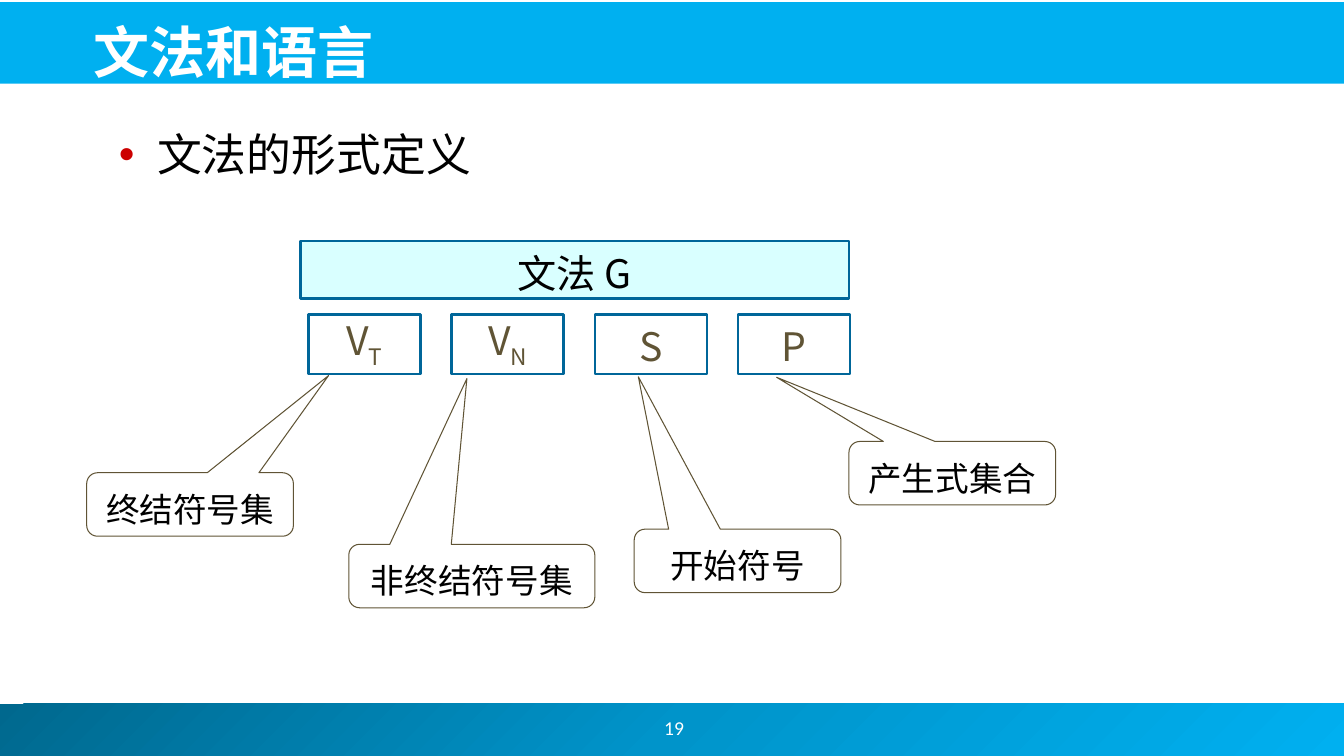
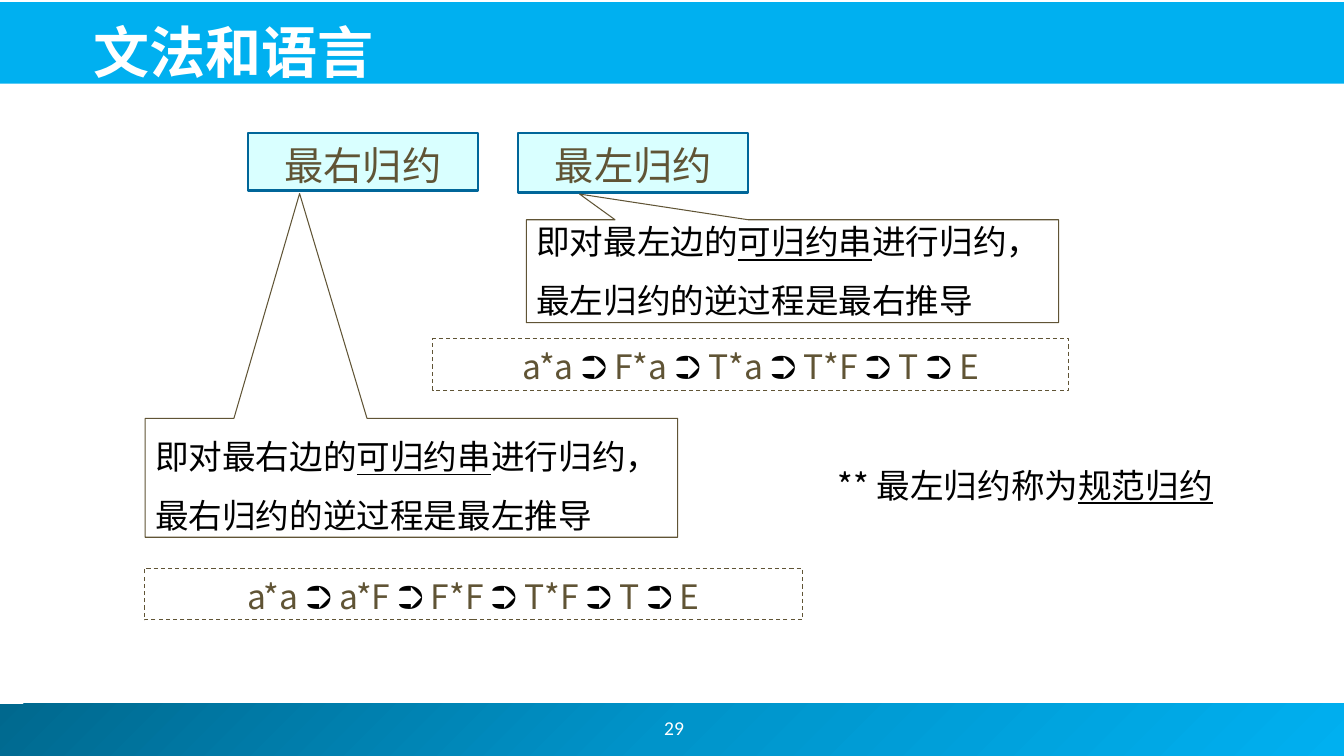
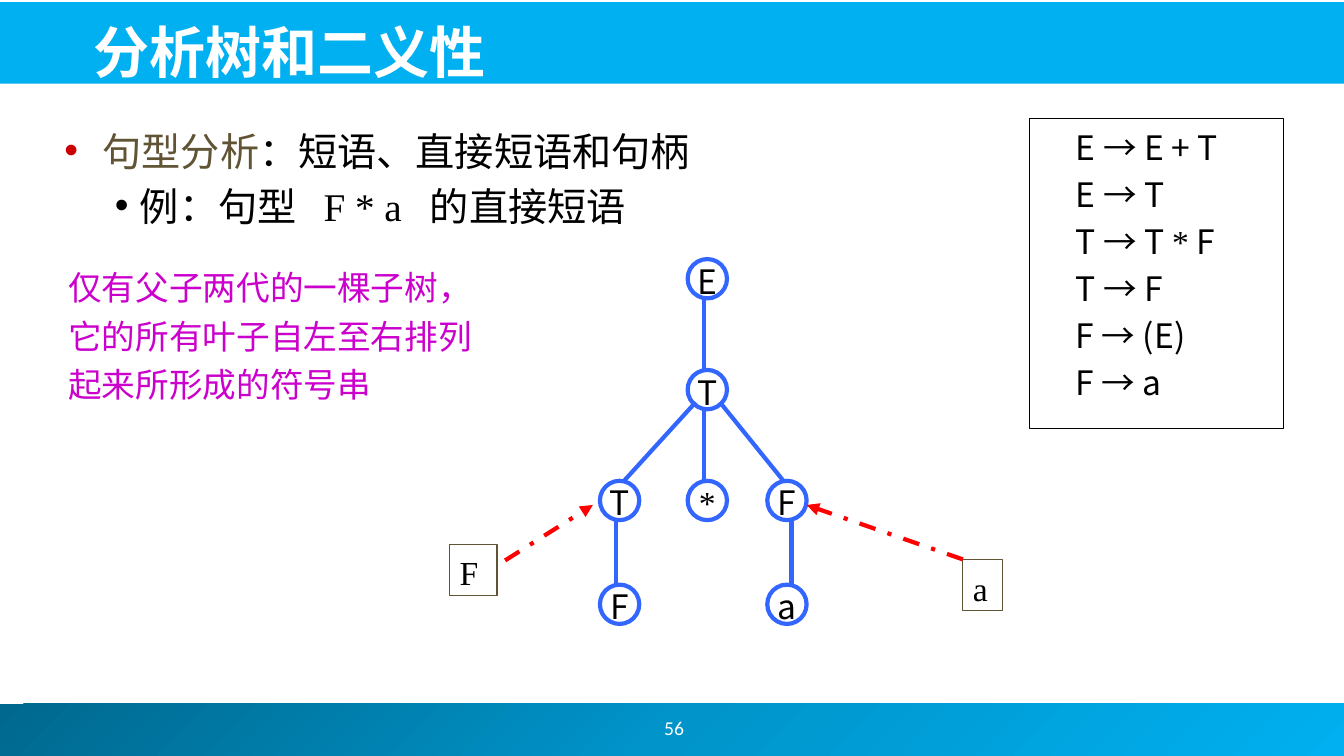
import copy

import pptx
import pptx.dml.color
import pptx.enum.dml
import pptx.enum.shapes
import pptx.enum.text
import pptx.oxml
import pptx.oxml.ns
import pptx.util

Inches, Pt = pptx.util.Inches, pptx.util.Pt
SHAPE = pptx.enum.shapes.MSO_SHAPE
DASH = pptx.enum.dml.MSO_LINE
ALIGN = pptx.enum.text.PP_ALIGN
ANCHOR = pptx.enum.text.MSO_ANCHOR
qn = pptx.oxml.ns.qn

# Shared look
WIDTH, HEIGHT = 13.33, 7.5
COLORS = {
    "white": "FFFFFF", "black": "000000", "sky": "00B0F0", "mid": "0094CA",
    "deep": "00688E", "pale": "D9FFFF", "steel": "006699", "olive": "605435",
    "bullet": "CC0000", "blue": "3366FF", "red": "FF0000", "magenta": "CC00CC",
}
SANS, SANS_JP = "Noto Sans CJK SC", "Noto Sans CJK JP"
SERIF, NUMBER_FONT = "Times New Roman", "Calibri"
LEADING = 1.2
INSETS = {"margin_left": 0.1, "margin_right": 0.1,
          "margin_top": 0.08, "margin_bottom": 0.04}
ANCHORS = {"top": ANCHOR.TOP, "middle": ANCHOR.MIDDLE, "bottom": ANCHOR.BOTTOM}

NOTE = {"size": 24, "name": SANS, "color": "black"}
LABEL = {"size": 28, "name": SANS, "color": "olive"}
SYMBOL = {**LABEL, "name": SANS_JP}
SERIF_NOTE = {**NOTE, "name": SERIF}
LATIN_NOTE = {**NOTE, "name": SANS_JP}
UNDERLINED = {"underline": True}
WIDE = {"spacing": 13}

# Slide 1: parts of a grammar
GRAMMAR_PARTS = [[("V", {}), ("T", {"baseline": -25})],
                 [("V", {}), ("N", {"baseline": -25})],
                 [("S", {})], [("P", {})]]
PART_LEFT, PART_STEP = 3.06, 1.42
PART_CALLOUTS = [  # text, left, top, width, pointer
    ("终结符号集", 0.86, 4.69, 2.05, (0.67, -2.03)),
    ("非终结符号集", 3.46, 5.4, 2.44, (-0.02, -3.11)),
    ("开始符号", 6.29, 5.25, 2.05, (-0.48, -2.9)),
    ("产生式集合", 8.42, 4.38, 2.05, (-0.85, -1.51)),
]

# Slide 2: the two reductions
REDUCTIONS = [  # side, opposite, label place, callout place, pointer, steps, steps place
    ("右", "左", (2.46, 1.32, 2.28, 0.57), (1.44, 4.15, 5.28, 1.18), (-0.21, -2.39),
     "a*a ➲ a*F ➲ F*F ➲ T*F ➲ T ➲ E", (1.43, 5.64, 6.53, 0.51)),
    ("左", "右", (5.14, 1.32, 2.28, 0.59), (5.22, 2.18, 5.28, 1.02), (-0.4, -0.75),
     "a*a ➲ F*a ➲ T*a ➲ T*F ➲ T ➲ E", (4.29, 3.36, 6.31, 0.51)),
]

# Slide 3: a parse tree
RULES = ["E → E + T", "E → T", "T → T * F", "T → F", "F → (E)", "F → a"]
TREE_COLUMNS, TREE_ROWS, NODE = (5.95, 6.82, 7.61), (2.57, 3.67, 4.77, 5.8), 0.39
NODES = [("E", 1, 0), ("T", 1, 1), ("T", 0, 2), ("*", 1, 2),
         ("F", 2, 2), ("F", 0, 3), ("a", 2, 3)]
BRANCHES = [(6.98, 2.96, 6.98, 3.67), (6.98, 4.07, 6.98, 4.77),
            (6.9, 3.99, 6.19, 4.77), (7.14, 3.99, 7.77, 4.77),
            (6.11, 5.17, 6.11, 5.8), (7.85, 5.17, 7.85, 5.8)]
PHRASES = [("F", (4.46, 5.4, 0.47, 0.51), (5.01, 5.56, 5.88, 5.01)),
           ("a", (9.55, 5.55, 0.39, 0.51), (9.55, 5.55, 8, 5.01))]
PHRASE_HINT = "仅有父子两代的一棵子树，它的所有叶子自左至右排列起来所形成的符号串"


def rgb(name):
    return pptx.dml.color.RGBColor.from_string(COLORS[name])


def add_span(para, text, style):
    span = para.add_run()
    span.text = text
    font = span.font
    values = {"size": Pt(style["size"]), "name": style["name"],
              "bold": style.get("bold", False),
              "underline": style.get("underline", False)}
    for name, value in values.items():
        setattr(font, name, value)
    font.color.rgb = rgb(style["color"])
    properties = span._r.get_or_add_rPr()
    east = SANS if style["name"] in (SERIF, NUMBER_FONT) else style["name"]
    properties.find(qn("a:latin")).addnext(
        pptx.oxml.parse_xml(f'<a:ea {pptx.oxml.ns.nsdecls("a")} typeface="{east}"/>'))
    if "baseline" in style:
        properties.set("baseline", str(style["baseline"] * 1000))
    if "spacing" in style:
        properties.set("spc", str(style["spacing"] * 100))


def add_bullet(para, margin, hang, color):
    properties = para._p.get_or_add_pPr()
    properties.set("marL", str(Inches(margin)))
    properties.set("indent", str(-Inches(hang)))
    space = pptx.oxml.ns.nsdecls("a")
    for part in (f'<a:buClr {space}><a:srgbClr val="{COLORS[color]}"/></a:buClr>',
                 f'<a:buFont {space} typeface="Arial"/>',
                 f'<a:buChar {space} char="•"/>'):
        properties.append(pptx.oxml.parse_xml(part))


def write(box, paragraphs, style, align=ALIGN.LEFT, anchor="top", wrap=True,
          spacing=1, before=0.2, bullets=(), **insets):
    """Each paragraph is a string or a list of (text, style changes)."""
    frame = box.text_frame
    frame.word_wrap = wrap
    frame.vertical_anchor = ANCHORS[anchor]
    for name, value in {**INSETS, **insets}.items():
        setattr(frame, name, Inches(value))
    for index, spans in enumerate(paragraphs):
        para = frame.add_paragraph() if index else frame.paragraphs[0]
        if bullets:
            add_bullet(para, *bullets[index])
        para.alignment = align
        para.line_spacing = Pt(round(style["size"] * LEADING * spacing, 1))
        if index:
            para.space_before = Pt(style["size"] * before)
        for text, changes in [(spans, {})] if isinstance(spans, str) else spans:
            add_span(para, text, {**style, **changes})


def add_text(page, place, paragraphs, style, **options):
    box = page.shapes.add_textbox(*map(Inches, place))
    write(box, paragraphs, style, **options)


def add_box(page, place, kind=SHAPE.RECTANGLE, fill=None, line=None, weight=0.75,
            dash=None, adjust=()):
    box = page.shapes.add_shape(kind, *map(Inches, place))
    box.shadow.inherit = False
    for index, value in enumerate(adjust):
        box.adjustments[index] = value
    if fill:
        box.fill.solid()
        box.fill.fore_color.rgb = rgb(fill)
    else:
        box.fill.background()
    if line:
        box.line.color.rgb = rgb(line)
        box.line.width = Pt(weight)
        if dash:
            box.line.dash_style = dash
    else:
        box.line.fill.background()
    return box


def add_line(page, ends, color, dash=None, arrow=False):
    line = page.shapes.add_connector(pptx.enum.shapes.MSO_CONNECTOR.STRAIGHT,
                                     *map(Inches, ends))
    line.line.color.rgb = rgb(color)
    line.line.width = Pt(3)
    if dash:
        line.line.dash_style = dash
    space = pptx.oxml.ns.nsdecls("a")
    if arrow:
        line.line._get_or_add_ln().append(
            pptx.oxml.parse_xml(f'<a:tailEnd {space} type="triangle"/>'))
    line._element.spPr.append(pptx.oxml.parse_xml(f"<a:effectLst {space}/>"))


def add_page(deck, title, number):
    page = deck.slides.add_slide(deck.slide_layouts[6])
    # Footer band with a three-stop gradient
    footer = add_box(page, (0, 6.98, WIDTH, 0.52))
    footer.fill.gradient()
    footer.fill.gradient_angle = 315
    stops = footer._element.spPr.find(".//" + qn("a:gsLst"))
    stops.insert(1, copy.deepcopy(stops[0]))
    for stop, color, position in zip(footer.fill.gradient_stops,
                                     ("deep", "mid", "sky"), (0, 0.5, 1)):
        stop.color.rgb = rgb(color)
        stop.position = position
    # Title band and page number
    add_box(page, (0, 0.02, WIDTH, 0.81), fill="sky")
    add_text(page, (5.24, 6.95, 2.89, 0.5), [str(number)],
             {"size": 14, "name": NUMBER_FONT, "color": "white"},
             align=ALIGN.CENTER, anchor="middle")
    add_text(page, (0.83, 0.05, 12.06, 0.79), [title],
             {"size": 40, "name": SANS_JP, "color": "white", "bold": True},
             anchor="bottom", margin_top=0, margin_bottom=0)
    return page


def build_definition(deck):
    page = add_page(deck, "文法和语言", 19)
    add_text(page, (1.08, 1.18, 9, 0.84), ["文法的形式定义"],
             {"size": 32, "name": SERIF, "color": "black"},
             bullets=[(0.38, 0.38, "bullet")])
    frame = {"line": "steel", "weight": 1.75}
    box = add_box(page, (2.98, 2.39, 5.44, 0.57), fill="pale", **frame)
    write(box, ["文法 G"], {**LABEL, "color": "black"}, align=ALIGN.CENTER)
    for index, spans in enumerate(GRAMMAR_PARTS):
        place = (PART_LEFT + index * PART_STEP, 3.12, 1.11, 0.59)
        box = add_box(page, place, fill="white", **frame)
        write(box, [spans], SYMBOL, align=ALIGN.CENTER)
    for text, left, top, width, pointer in PART_CALLOUTS:
        box = add_box(page, (left, top, width, 0.63), SHAPE.ROUNDED_RECTANGULAR_CALLOUT,
                      line="olive", adjust=(*pointer, 0.17))
        write(box, [text], NOTE, align=ALIGN.CENTER, anchor="bottom")


def build_reductions(deck):
    page = add_page(deck, "文法和语言", 29)
    for side, other, label, callout, pointer, steps, steps_place in REDUCTIONS:
        box = add_box(page, label, fill="pale", line="steel", weight=1.75)
        write(box, [f"最{side}归约"], LABEL, align=ALIGN.CENTER)
        box = add_box(page, callout, SHAPE.RECTANGULAR_CALLOUT, line="olive",
                      adjust=pointer)
        write(box, [[(f"即对最{side}边的", {}), ("可归约串", UNDERLINED),
                     ("进行归约，", {})],
                    f"最{side}归约的逆过程是最{other}推导"],
              NOTE, anchor="bottom", spacing=1.3, margin_bottom=0.02)
        # Arrows between the forms are black, the forms olive
        forms = steps.split("➲")
        spans = [(forms[0], {})]
        for form in forms[1:]:
            spans += [("➲", {"name": SERIF, "color": "black"}), (form, {})]
        box = add_box(page, steps_place, line="olive", dash=DASH.DASH)
        write(box, [spans], {**SYMBOL, "size": 24}, align=ALIGN.CENTER, anchor="bottom")
    add_text(page, (8.21, 4.55, 4.38, 0.5),
             [[("** 最左归约称为", {}), ("规范归约", UNDERLINED)]], NOTE, anchor="bottom")


def build_tree(deck):
    page = add_page(deck, "分析树和二义性", 56)
    add_text(page, (0.54, 1.18, 6.93, 1.23),
             [[("句型分析", {"color": "olive"}), ("：短语、直接短语和句柄", {})],
              [("例：句型", {}), (" ", WIDE), ("F * a", {}), (" ", WIDE),
               ("的直接短语", {})]],
             {"size": 28, "name": SERIF, "color": "black"},
             bullets=[(0.38, 0.38, "bullet"), (0.75, 0.25, "black")])
    # Grammar rules
    box = add_box(page, (10.21, 1.18, 2.52, 3.07), line="black")
    rules = [[(part, {"name": SERIF} if part == "*" else {})
              for part in rule.replace("*", "|*|").split("|")] for rule in RULES]
    write(box, rules, LATIN_NOTE, margin_left=0.46)
    # Tree
    for text, column, row in NODES:
        box = add_box(page, (TREE_COLUMNS[column], TREE_ROWS[row], NODE, NODE),
                      SHAPE.OVAL, line="blue", weight=3)
        write(box, [text], SERIF_NOTE if text == "*" else LATIN_NOTE,
              align=ALIGN.CENTER, anchor="middle", wrap=False)
    for ends in BRANCHES:
        add_line(page, ends, "blue")
    # Direct phrases
    for text, place, ends in PHRASES:
        write(add_box(page, place, line="olive"), [text], SERIF_NOTE)
        add_line(page, ends, "red", dash=DASH.DASH_DOT, arrow=True)
    add_text(page, (0.58, 2.49, 4.45, 1.55), [PHRASE_HINT],
             {**NOTE, "color": "magenta"}, spacing=1.2)


def main():
    deck = pptx.Presentation()
    deck.slide_width, deck.slide_height = Inches(WIDTH), Inches(HEIGHT)
    for build in (build_definition, build_reductions, build_tree):
        build(deck)
    deck.save("out.pptx")


if __name__ == "__main__":
    main()
